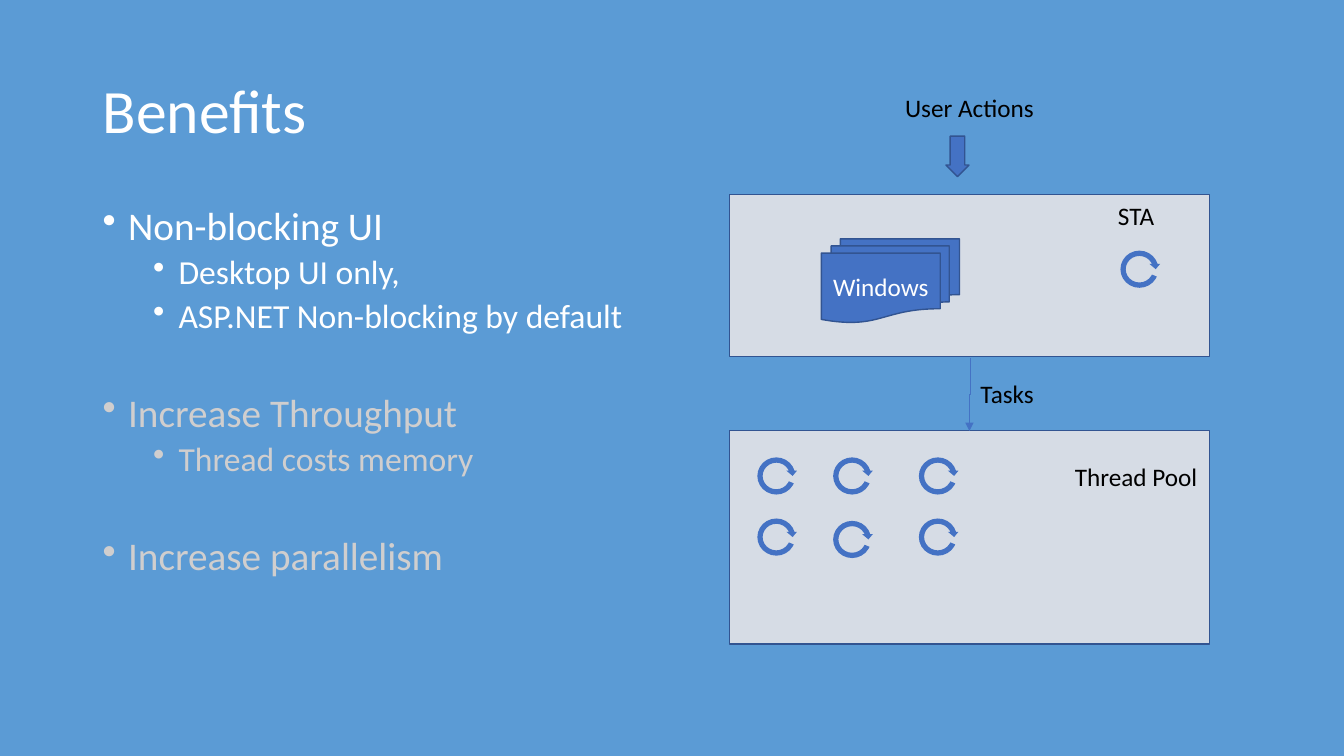
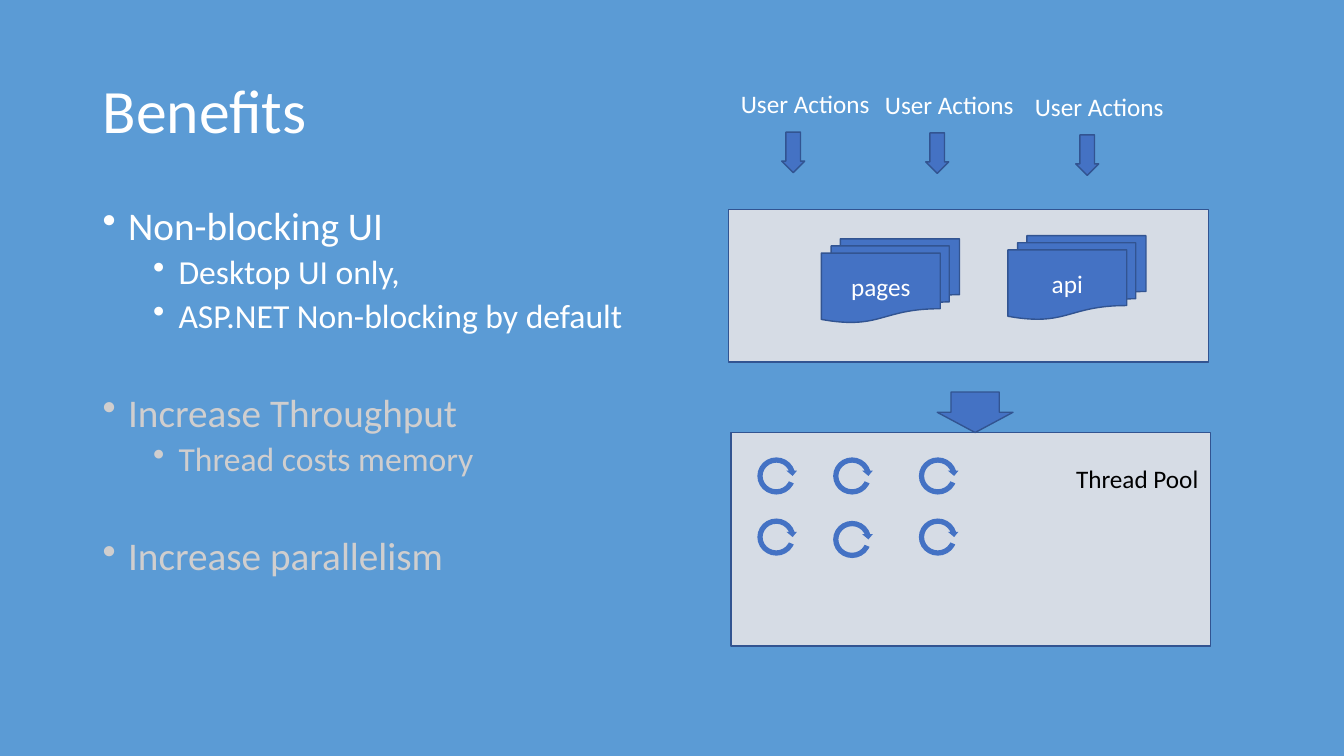
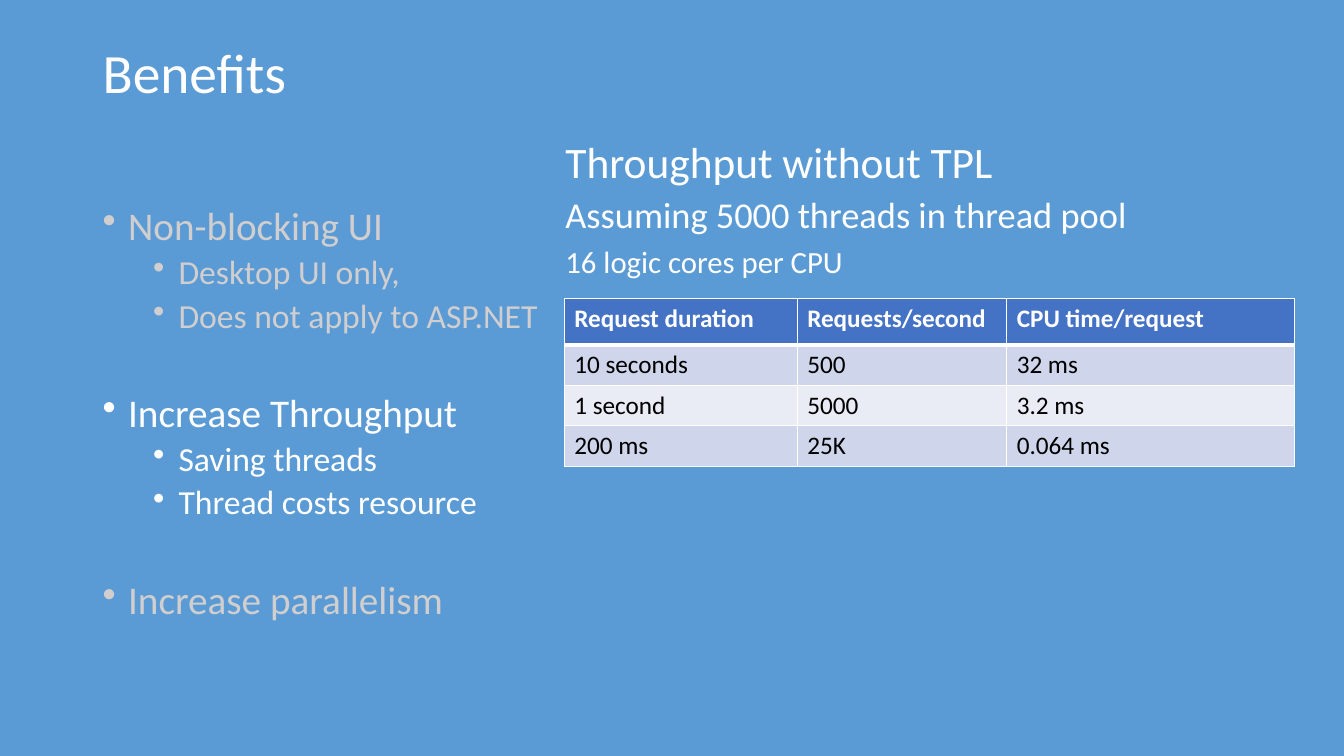
import pptx
import pptx.chart.data
import pptx.dml.color
import pptx.enum.shapes
import pptx.enum.text
import pptx.oxml
import pptx.oxml.ns
import pptx.util

Cm, Pt = pptx.util.Cm, pptx.util.Pt
hue = pptx.dml.color.RGBColor.from_string
kinds = pptx.enum.shapes.MSO_SHAPE
joint = pptx.enum.shapes.MSO_CONNECTOR.ELBOW
MID = pptx.enum.text.MSO_ANCHOR.MIDDLE
MIDDLE = pptx.enum.text.PP_ALIGN.CENTER
GROW = pptx.enum.text.MSO_AUTO_SIZE.SHAPE_TO_FIT_TEXT
NS = pptx.oxml.ns.nsdecls("a")

# Shared colours and formats
SKY, BLUE, RIM, PALE = "5B9BD5", "4472C4", "325491", "D6DCE5"
WHITE, BLACK, DIM = "FFFFFF", "000000", "D0CECE"
HEAD = {"line_spacing": 0.9}
CENTRE = {"alignment": MIDDLE}
FRAME = {"word_wrap": True}
FLOAT = {"word_wrap": False, "auto_size": GROW}
SOLID = {"word_wrap": True, "vertical_anchor": MID}
CORNER = {**SOLID, "margin_left": Cm(8.64), "margin_top": 0,
          "margin_right": Cm(0.25), "margin_bottom": Cm(3.05)}


def write(frame, look, lines):
    """Fill a text frame; a line is (text, size, colour, paragraph format)."""
    for key, val in look.items():
        setattr(frame, key, val)
    for i, (text, size, tint, form) in enumerate(lines):
        para = frame.add_paragraph() if i else frame.paragraphs[0]
        for key, val in form.items():
            setattr(para, key, val)
        run = para.add_run()
        run.text = text
        for key, val in {"name": "Calibri", "size": Pt(size)}.items():
            setattr(run.font, key, val)
        run.font.color.rgb = hue(tint)


def draw(slide, kind, box, fill=BLUE, rim=RIM, turns=()):
    """Add a flat preset shape; box is left, top, width, height in cm."""
    shape = slide.shapes.add_shape(kind, *map(Cm, box))
    shape.shadow.inherit = False
    shape.fill.solid()
    shape.fill.fore_color.rgb = hue(fill)
    if rim:
        shape.line.color.rgb = hue(rim)
        shape.line.width = Pt(1)
    else:
        shape.line.fill.background()
    for i, val in enumerate(turns):
        shape.adjustments[i] = val
    return shape


deck = pptx.Presentation()
deck.slide_width, deck.slide_height = Cm(33.87), Cm(19.05)
back = deck.slide_master.background.fill
back.solid()
back.fore_color.rgb = hue(SKY)

# Title and bullets of every slide
first = [("Non-blocking UI", 0, WHITE), ("Desktop UI only,", 1, WHITE),
         ("ASP.NET Non-blocking by default", 1, WHITE),
         ("Increase Throughput", 0, DIM), ("Thread costs memory", 1, DIM),
         ("Increase parallelism", 0, DIM)]
third = [("Non-blocking UI", 0, DIM), ("Desktop UI only,", 1, DIM),
         ("Does not apply to ASP.NET", 1, DIM),
         ("Increase Throughput", 0, WHITE), ("Saving threads", 1, WHITE),
         ("Thread costs resource", 1, WHITE),
         ("Increase parallelism", 0, DIM)]
plans = [(first, 15.62, 3.68, 44, 14.1), (first, 15.62, 3.68, 44, 14.1),
         (third, 13.16, 1.78, 39.6, 12.04)]
for points, wide, high, size, span in plans:
    slide = deck.slides.add_slide(deck.slide_layouts[6])
    title = slide.shapes.add_textbox(Cm(2.34), Cm(1.02), Cm(wide), Cm(high))
    write(title.text_frame, SOLID, [("Benefits", size, WHITE, HEAD)])

    body = slide.shapes.add_textbox(Cm(2.34), Cm(5.08), Cm(span), Cm(12.09))
    lines = []
    for i, (text, level, tint) in enumerate(points):
        gap = 5 if level else 41.4 if i else 10
        form = {**HEAD, "level": level, "space_before": Pt(gap)}
        lines.append((text, 24 if level else 28, tint, form))
    write(body.text_frame, FRAME, lines)
    for para in body.text_frame.paragraphs:
        props = para._p.get_or_add_pPr()
        props.set("marL", str(Cm(0.64 + 1.27 * para.level)))
        props.set("indent", str(-Cm(0.64)))
        props.append(pptx.oxml.parse_xml(f'<a:buChar {NS} char="•"/>'))

# Diagrams of the first two slides
desk, web, load = deck.slides
plans = [
    (desk, [(18.39, 10.85, 5.38, "Thread Pool"), (18.39, 4.9, 4.09, "STA")],
     [(20.7, 6.02, "Windows")], [(28.17, 6.25)],
     [(22.56, 2.21)], BLACK),
    (web, [(18.36, 5.28, 3.84, ""), (18.42, 10.9, 5.38, "Thread Pool")],
     [(20.7, 6.02, "pages"), (25.4, 5.94, "api")], [],
     [(18.42, 2.11), (22.05, 2.13), (25.83, 2.18)], WHITE)]
for slide, panels, stacks, loops, acts, tint in plans:
    for left, top, high, text in panels:
        panel = draw(slide, kinds.RECTANGLE, (left, top, 12.09, high), PALE)
        if text:
            write(panel.text_frame, CORNER, [(text, 18, BLACK, CENTRE)])
    for left, top, text in stacks:
        stack = draw(slide, kinds.FLOWCHART_MULTIDOCUMENT,
                     (left, top, 3.48, 2.11))
        write(stack.text_frame, SOLID, [(text, 18, WHITE, CENTRE)])
    # Threads: the pool's grid, with the middle one of row two a bit lower
    pool = [(left, top) for left, low in
            ((19.02, 13), (20.93, 13.06), (23.09, 13)) for top in (11.46, low)]
    for left, top in pool + loops:
        draw(slide, kinds.CIRCULAR_ARROW, (left, top, 1.09, 1.07), rim=None,
             turns=(0.125, 11.423, 204.577, 13.737, 0.125))
    for left, top in acts:
        draw(slide, kinds.DOWN_ARROW, (left + 1.28, top + 1.22, 0.58, 1.02),
             turns=(0.637, 0.5))
        label = slide.shapes.add_textbox(Cm(left), Cm(top), Cm(3.78), Cm(1.02))
        write(label.text_frame, FLOAT, [("User Actions", 18, tint, {})])

# Link from STA to the pool: an elbow turned upright
link = desk.shapes.add_connector(
    joint, Cm(23.52), Cm(9.92), Cm(25.37), Cm(9.95))
link.line.color.rgb = hue(BLUE)
link.line.width = Pt(0.5)
props = link._element.spPr
props.xfrm.set("rot", "5400000")
props.find(pptx.oxml.ns.qn("a:ln")).append(
    pptx.oxml.parse_xml(f'<a:tailEnd {NS} type="triangle"/>'))
props.append(pptx.oxml.parse_xml(f"<a:effectLst {NS}/>"))
label = desk.shapes.add_textbox(Cm(24.46), Cm(9.42), Cm(1.85), Cm(1.02))
write(label.text_frame, FLOAT, [("Tasks", 18, BLACK, {})])

# Wide arrow into the web pool
draw(web, kinds.DOWN_ARROW, (23.62, 9.88, 1.91, 1.02), turns=(0.637, 0.5))

# Throughput heading
form = {"line_spacing": 0.8, "space_before": Pt(10)}
head = load.shapes.add_textbox(Cm(14), Cm(3.53), Cm(16.97), Cm(3.84))
write(head.text_frame, FRAME, [
    ("Throughput without TPL", 31, WHITE, form),
    ("Assuming 5000 threads in thread pool", 26, WHITE, form),
    ("16 logic cores per CPU", 22, WHITE, form)])

# Throughput table
rows = [("Request duration", "Requests/second", "CPU time/request"),
        ("10 seconds", "500", "32 ms"),
        ("1 second", "5000", "3.2 ms"),
        ("200 ms", "25K", "0.064 ms")]
fills = [BLUE, "CFD5EA", "E9EBF5", "CFD5EA"]
grid = load.shapes.add_table(
    4, 3, Cm(14.22), Cm(7.52), Cm(18.41), Cm(4.23)).table
for col, wide in zip(grid.columns, (5.87, 5.28, 7.26)):
    col.width = Cm(wide)
for i, texts in enumerate(rows):
    grid.rows[i].height = Cm(1.02 if i else 1.17)
    for j, text in enumerate(texts):
        cell = grid.cell(i, j)
        tint = BLACK if i else WHITE
        write(cell.text_frame, {}, [(text, 18, tint, {})])
        cell.text_frame.paragraphs[0].runs[0].font.bold = i == 0
        props = cell._tc.get_or_add_tcPr()
        for side in "LRTB":
            thick = 3 if (i, side) in ((0, "B"), (1, "T")) else 1
            props.append(pptx.oxml.parse_xml(
                f'<a:ln{side} {NS} w="{Pt(thick)}"><a:solidFill>'
                f'<a:srgbClr val="{WHITE}"/></a:solidFill></a:ln{side}>'))
        cell.fill.solid()
        cell.fill.fore_color.rgb = hue(fills[i])

deck.save("out.pptx")
